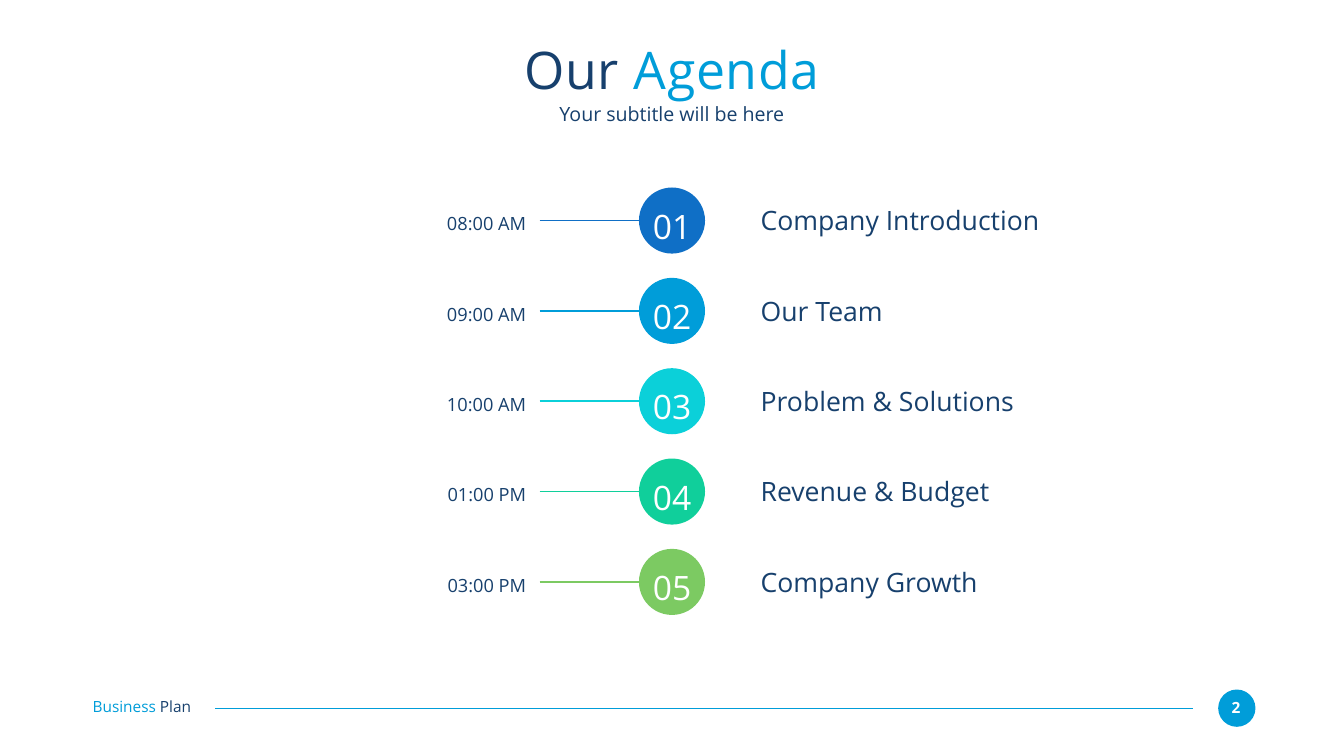
import dataclasses
import typing

import lxml.etree
import pptx
import pptx.dml.color
import pptx.enum.shapes
import pptx.enum.text
import pptx.oxml.ns
import pptx.util

Cm = pptx.util.Cm
Pt = pptx.util.Pt
Align = pptx.enum.text.PP_ALIGN
Anchor = pptx.enum.text.MSO_ANCHOR


@dataclasses.dataclass(frozen=True)
class Theme:
    font: str = "Open Sans"
    navy: str = "17406D"
    accent: str = "009DD9"
    white: str = "FFFFFF"
    title_size: int = 74
    number_size: int = 48
    topic_size: int = 38
    subtitle_size: int = 28
    time_size: int = 26
    footer_size: int = 22
    agenda_line: float = 2.25
    footer_line: float = 1.5


class Area(typing.NamedTuple):
    left: float
    top: float
    width: float
    height: float

    def shifted(self, distance: float) -> "Area":
        return self._replace(top=self.top + distance)


class Span(typing.NamedTuple):
    text: str
    color: str
    bold: bool = False


class AgendaItem(typing.NamedTuple):
    time: str
    topic: str
    color: str


THEME = Theme()
AGENDA = [
    AgendaItem("08:00 AM", "Company Introduction", "0F6FC6"),
    AgendaItem("09:00 AM", "Our Team", "009DD9"),
    AgendaItem("10:00 AM", "Problem & Solutions", "0BD0D9"),
    AgendaItem("01:00 PM", "Revenue & Budget", "10CF9B"),
    AgendaItem("03:00 PM", "Company Growth", "7CCA62"),
]
ROW_PITCH = 4.553
BADGE = Area(32.2, 9.45, 3.33, 3.33)
NUMBER = Area(32.56, 9.96, 2.62, 2.46)
TIME = Area(17.53, 10.49, 8.99, 1.35)
TOPIC = Area(38.33, 10.29, 15.98, 1.63)
LINE_START = 27.2


def rgb(color: str) -> pptx.dml.color.RGBColor:
    return pptx.dml.color.RGBColor.from_string(color)


def apply(target: typing.Any, values: dict[str, typing.Any]) -> None:
    for name, value in values.items():
        setattr(target, name, value)


def add_text(page, area: Area, spans: list[Span], size: int,
             align=Align.LEFT, line_spacing: float = 1.0,
             anchor=Anchor.TOP, tracking: float = 0) -> None:
    box = page.shapes.add_textbox(*map(Cm, area))
    apply(box.text_frame, {
        "word_wrap": True, "vertical_anchor": anchor,
        "margin_left": 0, "margin_right": 0,
        "margin_top": 0, "margin_bottom": 0,
    })
    para = box.text_frame.paragraphs[0]
    apply(para, {"alignment": align, "line_spacing": line_spacing})
    for span in spans:
        run = para.add_run()
        run.text = span.text
        apply(run.font, {"name": THEME.font, "size": Pt(size), "bold": span.bold})
        run.font.color.rgb = rgb(span.color)
        if tracking:
            run._r.get_or_add_rPr().set("spc", str(round(tracking * 100)))


def add_circle(page, area: Area, color: str) -> None:
    circle = page.shapes.add_shape(
        pptx.enum.shapes.MSO_SHAPE.OVAL, *map(Cm, area))
    circle.shadow.inherit = False
    circle.fill.solid()
    circle.fill.fore_color.rgb = rgb(color)
    circle.line.fill.background()


def add_rule(page, start: float, end: float, height: float,
             color: str, weight: float) -> None:
    rule = page.shapes.add_connector(
        pptx.enum.shapes.MSO_CONNECTOR.STRAIGHT,
        Cm(start), Cm(height), Cm(end), Cm(height))
    rule.line.color.rgb = rgb(color)
    rule.line.width = Pt(weight)
    lxml.etree.SubElement(
        rule._element.spPr, pptx.oxml.ns.qn("a:effectLst"))


def add_heading(page) -> None:
    add_text(page, Area(4.65, 1.85, 58.42, 3.23),
             [Span("Our ", THEME.navy), Span("Agenda", THEME.accent)],
             THEME.title_size, Align.CENTER, anchor=Anchor.MIDDLE, tracking=1)
    add_text(page, Area(4.65, 5.16, 58.42, 1.24),
             [Span("Your subtitle will be here", THEME.navy)],
             THEME.subtitle_size, Align.CENTER)


def add_agenda_row(page, index: int, item: AgendaItem) -> None:
    drop = index * ROW_PITCH
    badge = BADGE.shifted(drop)
    add_circle(page, badge, item.color)
    add_rule(page, LINE_START, badge.left, badge.top + badge.height / 2,
             item.color, THEME.agenda_line)
    add_text(page, NUMBER.shifted(drop), [Span(f"{index + 1:02}", THEME.white)],
             THEME.number_size, Align.CENTER, 1.2)
    add_text(page, TIME.shifted(drop), [Span(item.time, THEME.navy)],
             THEME.time_size, Align.RIGHT, 1.2)
    add_text(page, TOPIC.shifted(drop), [Span(item.topic, THEME.navy)],
             THEME.topic_size)


def add_footer(page) -> None:
    add_circle(page, Area(61.39, 34.75, 1.88, 1.88), THEME.accent)
    add_text(page, Area(61.54, 35.18, 1.5, 0.94),
             [Span("2", THEME.white, True)], THEME.footer_size, Align.CENTER)
    add_rule(page, 60.12, 10.85, 35.69, THEME.accent, THEME.footer_line)
    add_text(page, Area(4.67, 35.15, 6.58, 0.94),
             [Span("Business ", THEME.accent), Span("Plan", THEME.navy)],
             THEME.footer_size)


def main() -> None:
    deck = pptx.Presentation()
    apply(deck, {"slide_width": Cm(67.73), "slide_height": Cm(38.1)})
    page = deck.slides.add_slide(deck.slide_layouts[6])
    add_footer(page)
    add_heading(page)
    for index, item in enumerate(AGENDA):
        add_agenda_row(page, index, item)
    deck.save("out.pptx")


if __name__ == "__main__":
    main()
